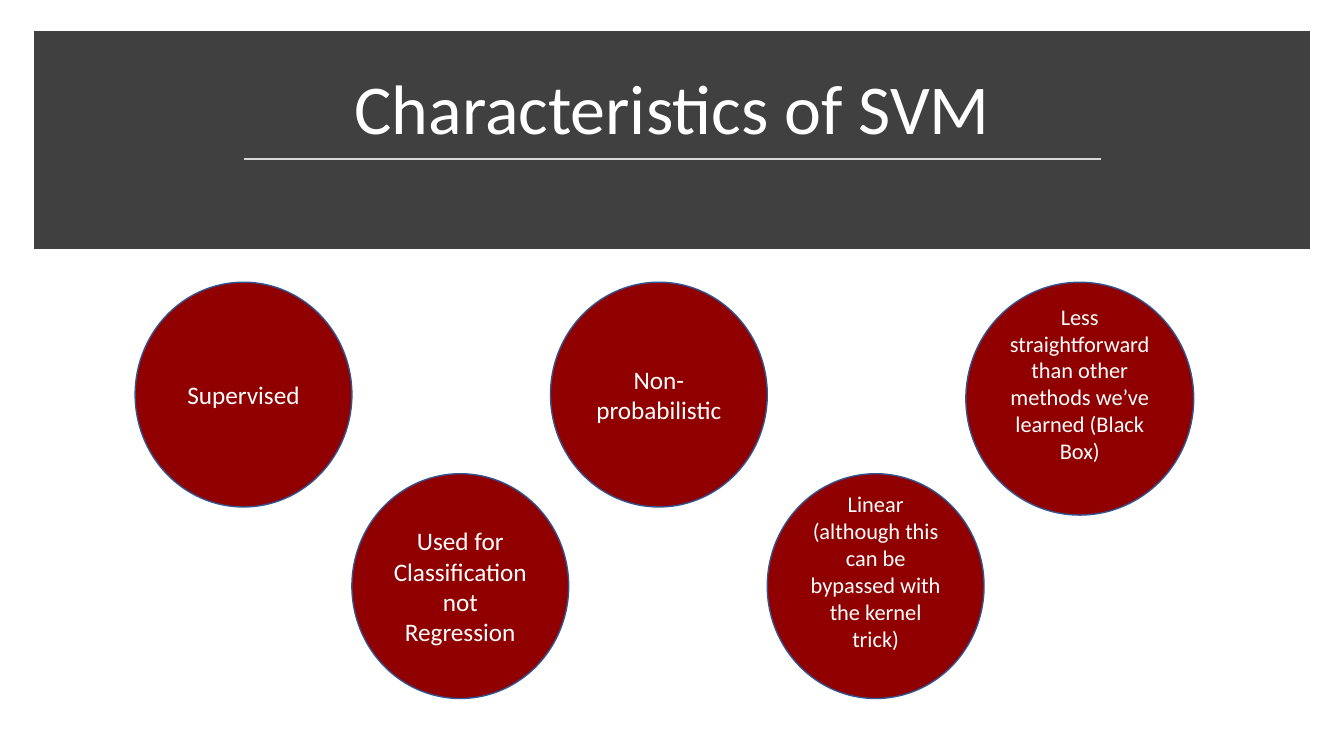
"""Build the slide on the characteristics of SVM."""
import pptx
import pptx.dml.color
import pptx.enum.shapes
import pptx.enum.text
import pptx.oxml
import pptx.oxml.ns
import pptx.util
from pptx.util import Inches

TITLE = "Characteristics of SVM"
TRAITS = [
    {"text": "Supervised"},
    {"text": "Used for Classification not Regression"},
    {"text": "Non-probabilistic"},
    {"text": "Linear (although this can be bypassed with the kernel trick)",
     "points": 16, "lift": 0.3},
    {"text": "Less straightforward than other methods we’ve learned (Black Box)",
     "points": 16, "lift": 0.3, "size": (2.26, 2.31)},
]
COLOURS = {"band": "404040", "rule": "D9D9D9", "circle": "900000",
           "outline": "325491", "text": "FFFFFF"}
ROW_LEFTS = (1.34, 3.49)
ROW_TOPS = (2.8, 4.7)
PITCH = 4.12
CIRCLE_SIZE = (2.15, 2.23)
SHAPES = pptx.enum.shapes.MSO_SHAPE
ANCHORS = pptx.enum.text.MSO_ANCHOR


def colour(role):
    return pptx.dml.color.RGBColor.from_string(COLOURS[role])


def add_filled(slide, kind, box, fill, line, width):
    shape = slide.shapes.add_shape(kind, *map(Inches, box))
    shape.shadow.inherit = False
    shape.fill.solid()
    shape.fill.fore_color.rgb = colour(fill)
    shape.line.color.rgb = colour(line)
    shape.line.width = pptx.util.Pt(width)
    return shape


def write(shape, text, points, anchor, spacing=1.0, lift=0):
    frame = shape.text_frame
    frame.text = text
    layout = {"word_wrap": True, "vertical_anchor": anchor,
              "margin_bottom": Inches(0.05 + lift)}
    for name, value in layout.items():
        setattr(frame, name, value)
    paragraph = frame.paragraphs[0]
    paragraph.alignment = pptx.enum.text.PP_ALIGN.CENTER
    paragraph.line_spacing = spacing
    font = paragraph.runs[0].font
    for name, value in {"name": "Calibri", "size": pptx.util.Pt(points)}.items():
        setattr(font, name, value)
    font.color.rgb = colour("text")


def main():
    deck = pptx.Presentation()
    deck.slide_width, deck.slide_height = Inches(13.33), Inches(7.5)
    slide = deck.slides.add_slide(deck.slide_layouts[6])

    band = add_filled(slide, SHAPES.RECTANGLE, (0.41, 0.38, 12.51, 2.02), "band", "band", 10)
    miter = pptx.oxml.parse_xml(f'<a:miter {pptx.oxml.ns.nsdecls("a")} lim="800000"/>')
    band.line.fill
    band.element.spPr.find(pptx.oxml.ns.qn("a:ln")).append(miter)

    title = slide.shapes.add_textbox(*map(Inches, (0.58, 0.51, 12.18, 1.02)))
    write(title, TITLE, 50, ANCHORS.BOTTOM, spacing=0.9)

    rule = slide.shapes.add_connector(
        pptx.enum.shapes.MSO_CONNECTOR.STRAIGHT, *map(Inches, (2.42, 1.58, 10.92, 1.58)))
    rule.line.color.rgb = colour("rule")
    rule.line.width = pptx.util.Pt(1.75)
    rule.element.spPr.append(
        pptx.oxml.parse_xml(f'<a:effectLst {pptx.oxml.ns.nsdecls("a")}/>'))

    for index, trait in enumerate(TRAITS):
        column, row = divmod(index, 2)
        box = (ROW_LEFTS[row] + column * PITCH, ROW_TOPS[row],
               *trait.get("size", CIRCLE_SIZE))
        circle = add_filled(slide, SHAPES.OVAL, box, "circle", "outline", 1)
        write(circle, trait["text"], trait.get("points", 18), ANCHORS.MIDDLE,
              lift=trait.get("lift", 0))

    deck.save("out.pptx")


if __name__ == "__main__":
    main()
